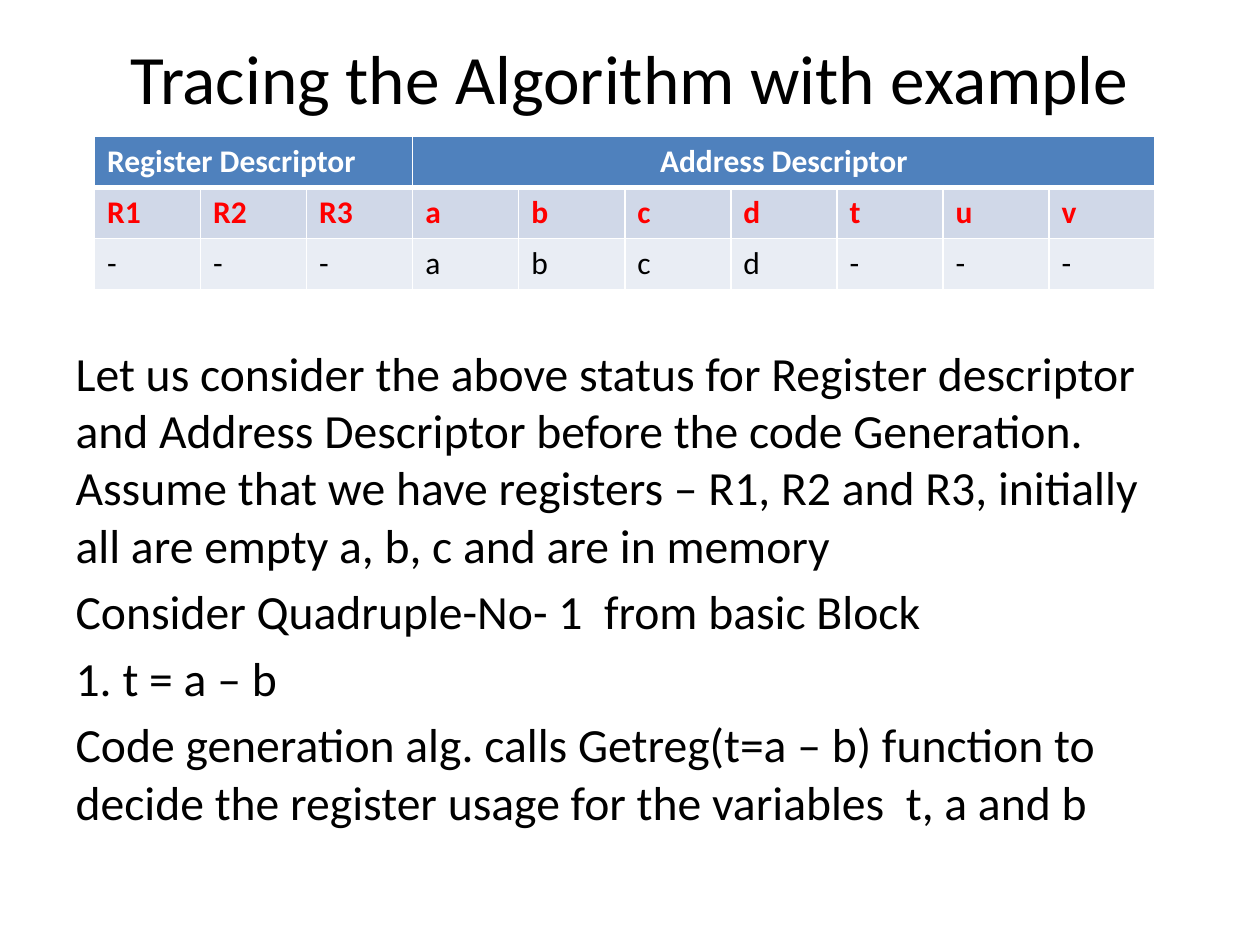
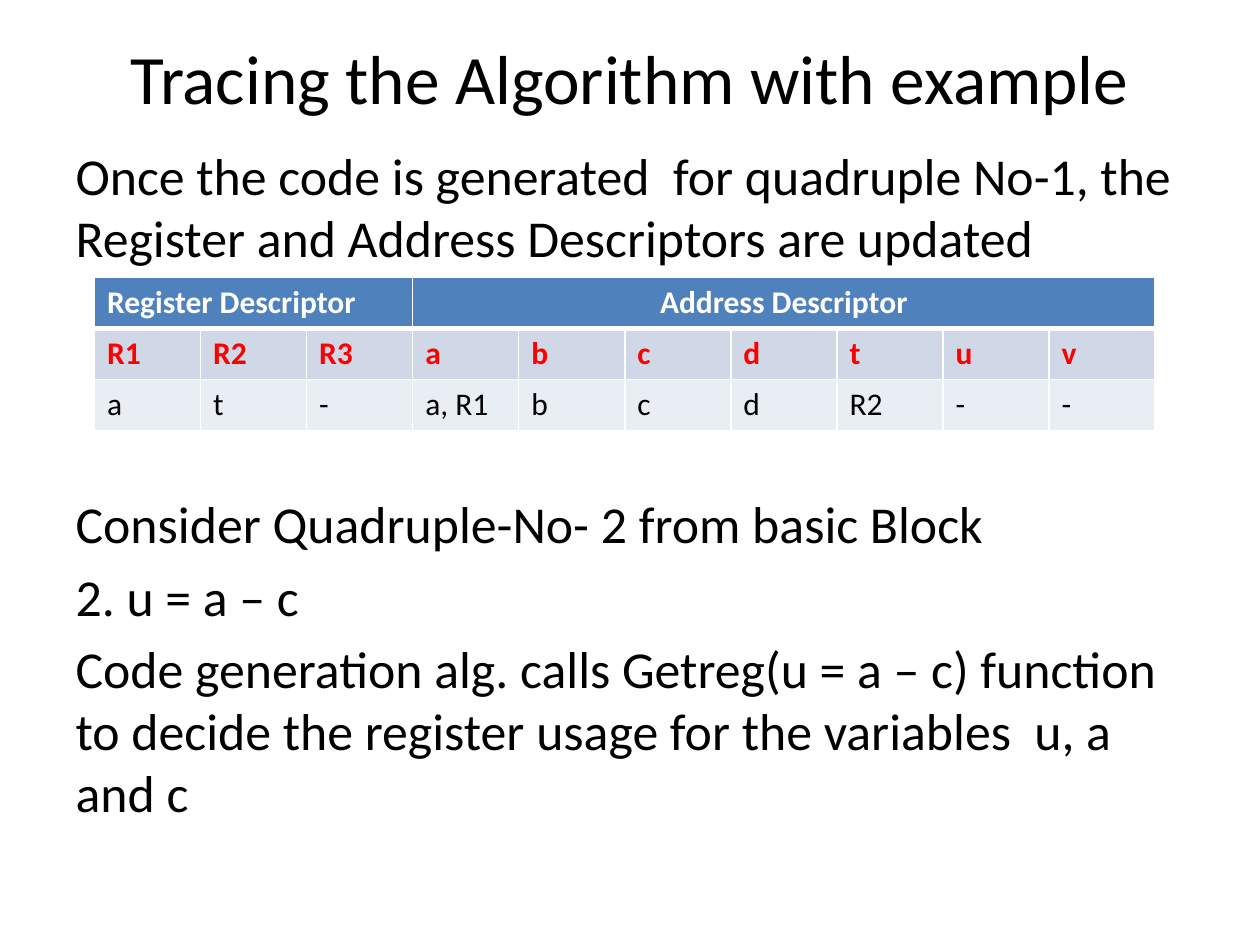
from lxml.etree import SubElement as Sub
from pptx import Presentation as Deck
from pptx.dml.color import RGBColor as RGB
from pptx.enum.text import MSO_ANCHOR as Anchor, MSO_AUTO_SIZE as Fit, PP_ALIGN as Align
from pptx.oxml.ns import qn
from pptx.util import Inches, Pt

# Shared look
FONT = "Calibri"
BLACK, WHITE, RED = "000000", "FFFFFF", "FF0000"
HEAD, BAND, PALE = "4F81BD", "D0D8E8", "E9EDF4"
TITLE = "Tracing the Algorithm with example"
REGS = ["R1", "R2", "R3"]
VARS = ["a", "b", "c", "d", "t", "u", "v"]


def paint(hue):
    return RGB.from_string(hue)


def write(para, text, size=18, color=BLACK, bold=False, align=None, before=None):
    """Put formatted text in a paragraph."""
    run = para.add_run()
    run.text = text
    font = run.font
    font.name, font.size, font.bold = FONT, Pt(size), bold
    font.color.rgb = paint(color)
    if align is not None:
        para.alignment = align
    if before is not None:
        para.space_before = Pt(before)


def place(shape, left, top, width, height):
    shape.left, shape.top = Inches(left), Inches(top)
    shape.width, shape.height = Inches(width), Inches(height)
    shape.text_frame.word_wrap = True
    shape.text_frame.auto_size = Fit.NONE


def plain(para, hang):
    """Remove the bullet, and the hanging indent unless it is wanted."""
    props = para._p.get_or_add_pPr()
    if not hang:
        props.set("marL", "0")
        props.set("indent", "0")
    Sub(props, qn("a:buNone"))


def add_title(slide):
    shape = slide.shapes.title
    place(shape, 0.5, 0.3, 9, 0.62)
    shape.text_frame.vertical_anchor = Anchor.MIDDLE
    write(shape.text_frame.paragraphs[0], TITLE, size=39.6, align=Align.CENTER)


def add_body(slide, items, size, inset, gaps):
    """Fill the body; items are (text, hang), gaps maps an item to its space before."""
    shape = slide.placeholders[1]
    place(shape, 0.5, 1.08, 9, 5.62)
    frame = shape.text_frame
    frame.margin_top, frame.margin_right = Inches(inset), Inches(0.05)
    for i, (text, hang) in enumerate(items):
        para = frame.add_paragraph() if i else frame.paragraphs[0]
        write(para, text, size=size, before=gaps.get(i, round(size * 0.2, 1)))
        plain(para, hang)


def edge(cell, base):
    """Draw white borders, with the given width below."""
    props = cell._tc.get_or_add_tcPr()
    for side, width in zip("LRTB", (1, 1, 1, base)):
        line = Sub(props, qn("a:ln" + side), w=str(Pt(width)))
        fill = Sub(line, qn("a:solidFill"))
        Sub(fill, qn("a:srgbClr"), val=WHITE)


def add_grid(slide, top, state):
    """Add the descriptor table with its current state in the last row."""
    heads = [""] * len(REGS + VARS)
    split = len(REGS)
    heads[0], heads[split] = "Register Descriptor", "Address Descriptor"
    rows = [(heads, HEAD, WHITE, True), (REGS + VARS, BAND, RED, True),
            (state, PALE, BLACK, False)]
    grid = slide.shapes.add_table(len(rows), len(heads), Inches(0.75), Inches(top),
                                  Inches(8.42), Inches(1.22)).table
    for r, (texts, back, color, bold) in enumerate(rows):
        for c, text in enumerate(texts):
            cell = grid.cell(r, c)
            edge(cell, 1 if r else 3)
            cell.fill.solid()
            cell.fill.fore_color.rgb = paint(back)
            if text:
                mid = Align.CENTER if (r, c) == (0, split) else None
                write(cell.text_frame.paragraphs[0], text, color=color,
                      bold=bold, align=mid)
    grid.cell(0, 0).merge(grid.cell(0, split - 1))
    grid.cell(0, split).merge(grid.cell(0, len(heads) - 1))


def add_step(deck, items, size, inset, gaps, top, state):
    slide = deck.slides.add_slide(deck.slide_layouts[1])
    add_title(slide)
    add_body(slide, items, size, inset, gaps)
    add_grid(slide, top, state)


def main():
    deck = Deck()
    deck.slide_width, deck.slide_height = Inches(10), Inches(7.5)

    # First quadruple: table above the text
    first = [
        ("Let us consider the above status for Register descriptor and Address "
         "Descriptor before the code Generation. Assume that we have registers "
         "– R1, R2 and R3, initially all are empty a, b, c and are in memory", False),
        ("Consider Quadruple-No- 1  from basic Block", True),
        ("1. t = a – b", True),
        ("Code generation alg. calls Getreg(t=a – b) function to decide the "
         "register usage for the variables  t, a and b", False),
    ]
    add_step(deck, first, 27.2, 1.65, {0: 0}, 1.08,
             ["-", "-", "-", "a", "b", "c", "d", "-", "-", "-"])

    # Second quadruple: table in the gap after the first paragraph
    second = [
        ("Once the code is generated  for quadruple No-1, the Register and "
         "Address Descriptors are updated", False),
        ("Consider Quadruple-No- 2 from basic Block", True),
        ("2. u = a – c", True),
        ("Code generation alg. calls Getreg(u = a – c) function to decide the "
         "register usage for the variables  u, a and c", False),
    ]
    add_step(deck, second, 29.6, 0.06, {0: 0, 1: 128}, 2.2,
             ["a", "t", "-", "a, R1", "b", "c", "d", "R2", "-", "-"])

    deck.save("out.pptx")


main()
